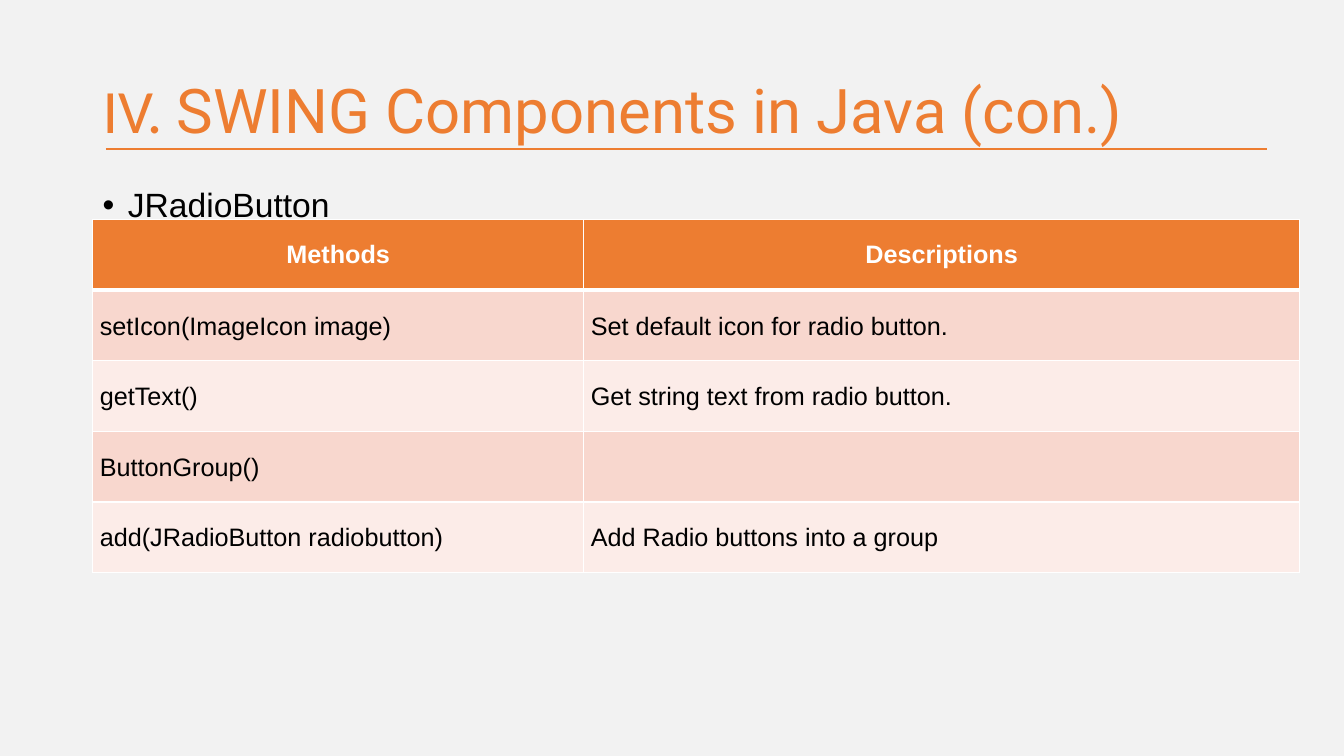
from lxml import etree
from pptx import Presentation
from pptx.dml.color import RGBColor
from pptx.enum import shapes, text
from pptx.oxml import ns
from pptx.util import Inches, Pt

COLORS = {
    "page": "F2F2F2",
    "accent": "ED7D31",
    "text": "000000",
    "white": "FFFFFF",
    "odd_row": "F8D7CE",
    "even_row": "FCECE8",
}
METHODS = [
    ("Methods", "Descriptions"),
    ("setIcon(ImageIcon image)", "Set default icon for radio button."),
    ("getText()", "Get string text from radio button."),
    ("ButtonGroup()", ""),
    ("add(JRadioButton radiobutton)", "Add Radio buttons into a group"),
]


def add_span(para, words, font, size, color, bold=False):
    span = para.add_run()
    span.text = words
    span.font.name = font
    span.font.size = Pt(size)
    span.font.bold = bold
    span.font.color.rgb = RGBColor.from_string(COLORS[color])


def set_borders(cell, bottom_width):
    """Draw white borders, 1 pt wide except for the bottom one."""
    properties = cell._tc.get_or_add_tcPr()
    widths = {"lnL": 1, "lnR": 1, "lnT": 1, "lnB": bottom_width}
    for position, (side, width) in enumerate(widths.items()):
        border = etree.Element(ns.qn(f"a:{side}"), w=str(Pt(width)))
        fill = etree.SubElement(border, ns.qn("a:solidFill"))
        etree.SubElement(fill, ns.qn("a:srgbClr"), val=COLORS["white"])
        properties.insert(position, border)


deck = Presentation()
deck.slide_width = Inches(13.33)
deck.slide_height = Inches(7.5)
page = deck.slides.add_slide(deck.slide_layouts[6])
page.background.fill.solid()
page.background.fill.fore_color.rgb = RGBColor.from_string(COLORS["page"])

# Title and its rule
rule = page.shapes.add_connector(
    shapes.MSO_CONNECTOR.STRAIGHT,
    Inches(1.05), Inches(1.48), Inches(12.57), Inches(1.48))
rule.line.color.rgb = RGBColor.from_string(COLORS["accent"])
rule.line.width = Pt(1.5)
etree.SubElement(rule._element.spPr, ns.qn("a:effectLst"))

title_box = page.shapes.add_textbox(
    Inches(0.92), Inches(0.4), Inches(11.5), Inches(1.45))
title_box.text_frame.word_wrap = True
title_box.text_frame.vertical_anchor = text.MSO_ANCHOR.MIDDLE
title = title_box.text_frame.paragraphs[0]
title.line_spacing = 0.9
add_span(title, "IV. ", "Calibri", 44, "accent")
add_span(title, "SWING Components in Java (con.)", "Roboto", 44, "accent")

# Bulleted component name
body_box = page.shapes.add_textbox(
    Inches(0.92), Inches(1.58), Inches(11.5), Inches(5.71))
body_box.text_frame.word_wrap = True
component = body_box.text_frame.paragraphs[0]
component.line_spacing = 1.5
component.space_before = Pt(10)
add_span(component, "JRadioButton", "Arial", 24, "text")
bullet_format = component._p.get_or_add_pPr()
bullet_format.set("marL", str(Inches(0.25)))
bullet_format.set("indent", str(-Inches(0.25)))
etree.SubElement(bullet_format, ns.qn("a:buFont"), typeface="Arial")
etree.SubElement(bullet_format, ns.qn("a:buChar"), char="•")

# Table of methods
table = page.shapes.add_table(
    len(METHODS), 2,
    Inches(0.92), Inches(2.18), Inches(11.97), Inches(3.5)).table
table.columns[0].width = Inches(4.87)
table.columns[1].width = Inches(7.1)

for row, entries in enumerate(METHODS):
    header = row == 0
    fill = "accent" if header else "odd_row" if row % 2 else "even_row"
    for column, words in enumerate(entries):
        cell = table.cell(row, column)
        cell.fill.solid()
        cell.fill.fore_color.rgb = RGBColor.from_string(COLORS[fill])
        cell.vertical_anchor = text.MSO_ANCHOR.MIDDLE
        set_borders(cell, 3 if header else 1)
        para = cell.text_frame.paragraphs[0]
        if header:
            para.alignment = text.PP_ALIGN.CENTER
        else:
            cell.margin_left = cell.margin_right = Inches(0.07)
            cell.margin_top = cell.margin_bottom = 0
            para.line_spacing = 1.07
        if words:
            add_span(para, words, "Arial", 18,
                     "white" if header else "text", bold=header)

deck.save("out.pptx")
